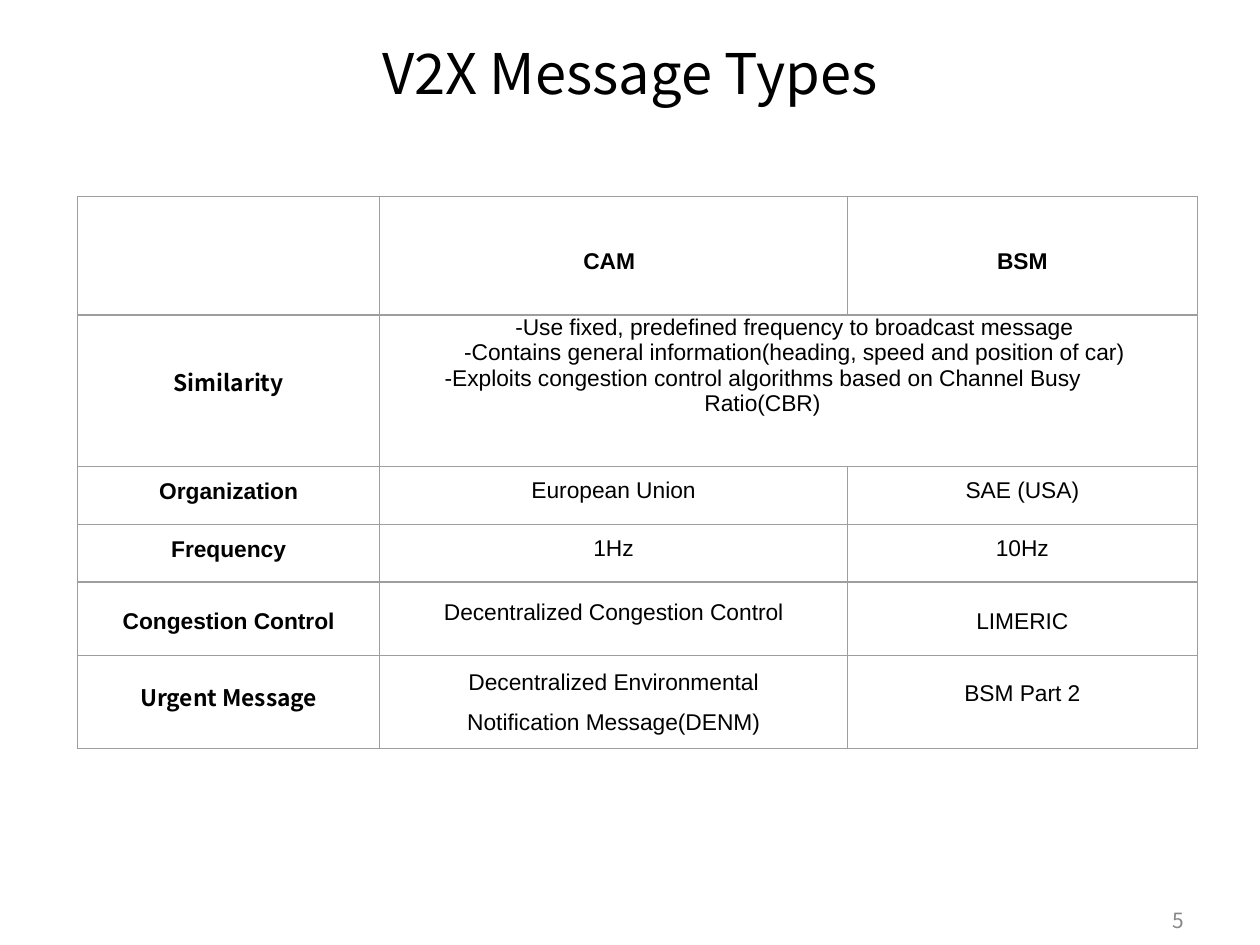
import pptx
import pptx.util
import pptx.dml.color
import pptx.enum.text
import lxml.etree

Pt = pptx.util.Pt
CENTER = pptx.enum.text.PP_ALIGN.CENTER
RIGHT = pptx.enum.text.PP_ALIGN.RIGHT
MIDDLE = pptx.enum.text.MSO_ANCHOR.MIDDLE
TOP = pptx.enum.text.MSO_ANCHOR.TOP
ARIAL = "Arial"
NOTO = "Noto Sans CJK KR"
NS = "{http://schemas.openxmlformats.org/drawingml/2006/main}"


def color(value):
    return pptx.dml.color.RGBColor.from_string(value)


def write(paragraph, text, size, face, ink="000000", bold=False, align=CENTER):
    paragraph.alignment = align
    run = paragraph.add_run()
    run.text = text
    run.font.size = Pt(size)
    run.font.bold = bold
    run.font.color.rgb = color(ink)
    run.font.name = face
    for script in ("ea", "cs"):
        lxml.etree.SubElement(run.font._element, NS + script, typeface=face)


deck = pptx.Presentation()
deck.slide_width, deck.slide_height = Pt(720), Pt(540)
slide = deck.slides.add_slide(deck.slide_layouts[6])

for place, text, size, ink, align in [
    ((36, 21.6, 648, 38.9), "V2X Message Types", 32, "000000", CENTER),
    ((516.2, 511.2, 167.8, 28.8), "5", 12, "888888", RIGHT),
]:
    frame = slide.shapes.add_textbox(*map(Pt, place)).text_frame
    frame.word_wrap = True
    frame.vertical_anchor = MIDDLE
    write(frame.paragraphs[0], text, size, NOTO, ink, align=align)

column_widths = [172.8, 267.1, 200.2]
row_heights = [67.7, 86.4, 33.1, 33.1, 41.8, 53.3]
similarities = [
    "-Use fixed, predefined frequency to broadcast message",
    "-Contains general information(heading, speed and position of car)",
    "-Exploits congestion control algorithms based on Channel Busy Ratio(CBR)",
]
denm = ["Decentralized Environmental", "Notification Message(DENM)"]
messages = [
    [([], 0), (["CAM"], 6.5), (["BSM"], 6.5)],
    [(["Similarity"], 29), (similarities, 0), ([], 0)],
    [(["Organization"], 7.2), (["European Union"], 6.5), (["SAE (USA)"], 6.5)],
    [(["Frequency"], 7.2), (["1Hz"], 6.5), (["10Hz"], 6.5)],
    [(["Congestion Control"], 15.3), (["Decentralized Congestion Control"], 10.1), (["LIMERIC"], 15.3)],
    [(["Urgent Message"], 14.6), (denm, 8.6), (["BSM Part 2"], 14.6)],
]

table = slide.shapes.add_table(
    len(row_heights), len(column_widths), Pt(44.2), Pt(112.3),
    Pt(sum(column_widths)), Pt(sum(row_heights))).table
table.first_row = table.horz_banding = False
for column, width in zip(table.columns, column_widths):
    column.width = Pt(width)
for row, height in zip(table.rows, row_heights):
    row.height = Pt(height)
table.cell(1, 1).merge(table.cell(1, 2))

for r, row in enumerate(messages):
    for c, (lines, top) in enumerate(row):
        cell = table.cell(r, c)
        cell.margin_left = cell.margin_right = cell.margin_bottom = 0
        cell.margin_top = Pt(top)
        cell.vertical_anchor = MIDDLE if r == 0 else TOP
        properties = cell._tc.get_or_add_tcPr()
        for side in ("lnL", "lnR", "lnT", "lnB"):
            border = lxml.etree.SubElement(properties, NS + side, w=str(Pt(0.75)))
            ink = lxml.etree.SubElement(border, NS + "solidFill")
            lxml.etree.SubElement(ink, NS + "srgbClr", val="9E9E9E")
        cell.fill.solid()
        cell.fill.fore_color.rgb = color("FFFFFF")
        face = NOTO if lines in (["Similarity"], ["Urgent Message"]) else ARIAL
        for i, line in enumerate(lines):
            paragraph = cell.text_frame.paragraphs[0] if i == 0 else cell.text_frame.add_paragraph()
            if lines is denm and i > 0:
                paragraph.space_before = Pt(8)
            if lines is similarities:
                indent = 6 if i == 2 else 42
                paragraph._p.get_or_add_pPr().set("marL", str(Pt(indent)))
            write(paragraph, line, 13, face, bold=r == 0 or c == 0)

table.cell(0, 1).margin_right = Pt(5)
table.cell(1, 1).margin_right = Pt(36)

deck.save("out.pptx")
